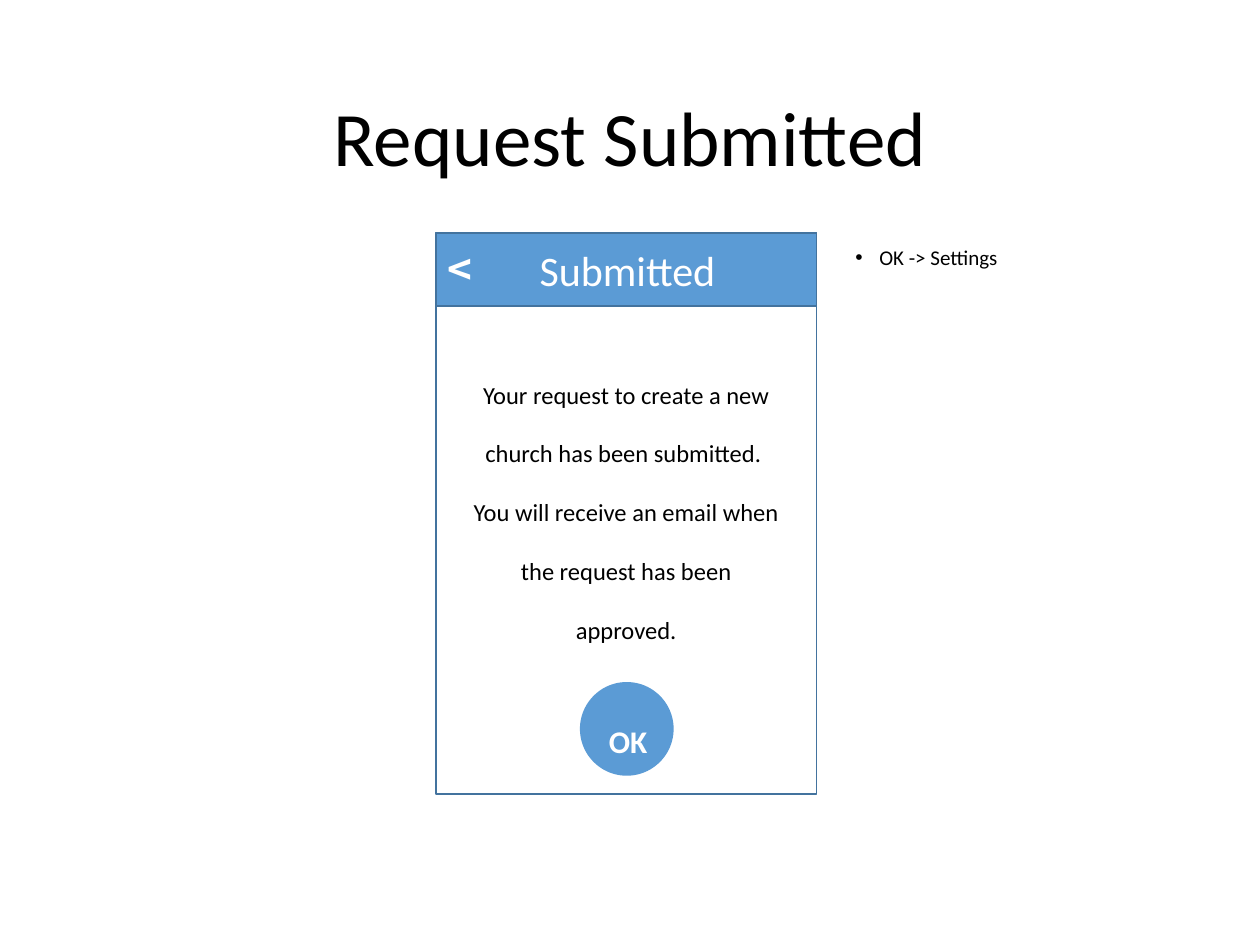
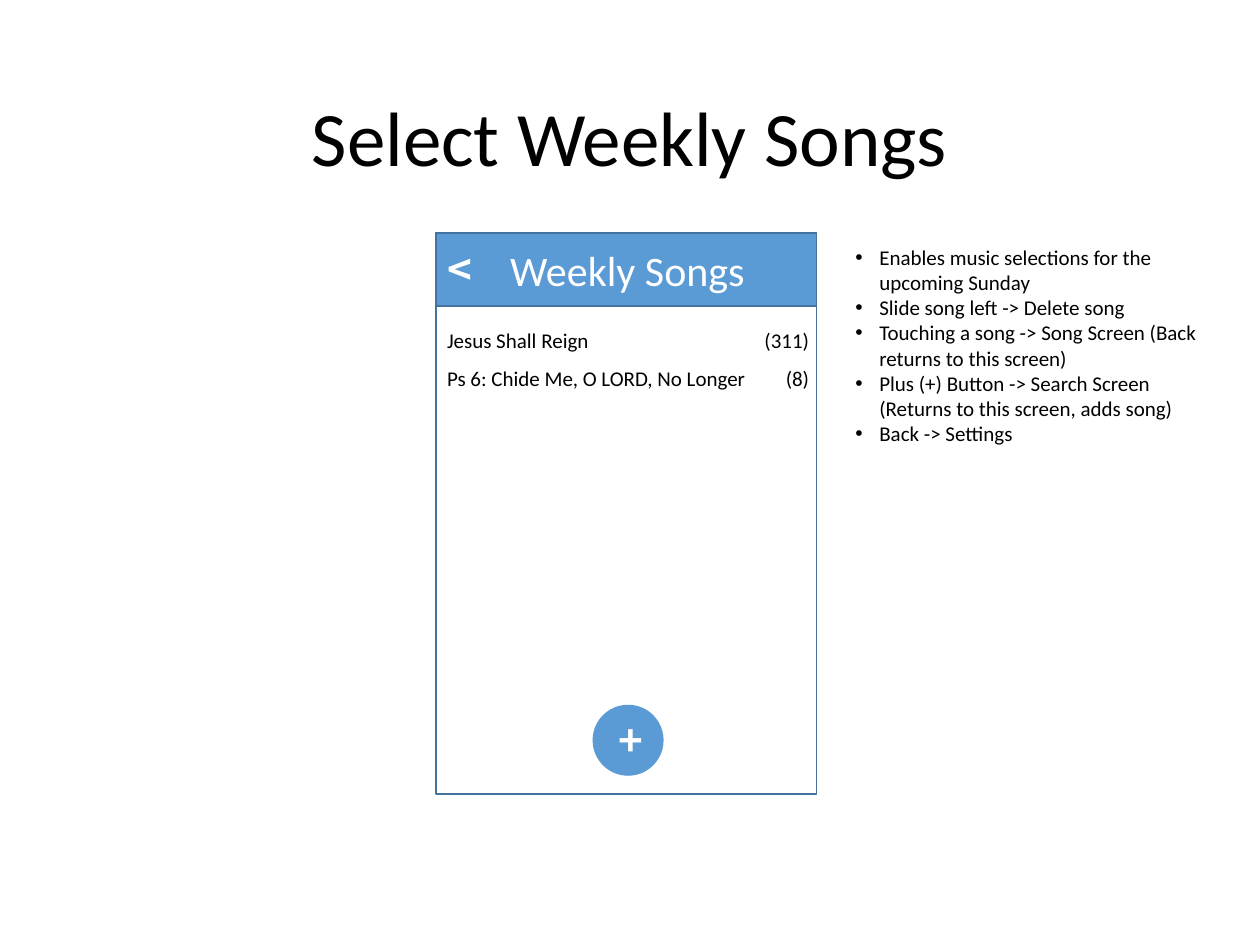
import pptx
import pptx.util
import pptx.dml.color
import pptx.enum.shapes
import pptx.enum.text
import pptx.oxml
import pptx.oxml.ns

PX = 9144  # EMU per px, 100 px to the inch
BLACK = pptx.dml.color.RGBColor(0x00, 0x00, 0x00)
WHITE = pptx.dml.color.RGBColor(0xFF, 0xFF, 0xFF)
BLUE = pptx.dml.color.RGBColor(0x5B, 0x9B, 0xD5)
EDGE = pptx.dml.color.RGBColor(0x43, 0x73, 0x9E)
FONT, SYMBOL_FONT = "Calibri", "Noto Sans CJK JP"
SHAPE = pptx.enum.shapes.MSO_SHAPE
LEFT = pptx.enum.text.PP_ALIGN.LEFT
CENTER = pptx.enum.text.PP_ALIGN.CENTER
RIGHT = pptx.enum.text.PP_ALIGN.RIGHT


def add_box(s, kind, box, fill, line):
    sp = s.shapes.add_shape(kind, *[v * PX for v in box])
    sp.shadow.inherit = False
    if fill is None:
        sp.fill.background()
    else:
        sp.fill.solid()
        sp.fill.fore_color.rgb = fill
    sp.line.color.rgb = line
    sp.line.width = pptx.util.Pt(1)


def add_text(s, box, lines, size, color=BLACK, align=LEFT, spacing=1.0,
             bold=False, font=FONT, bullets=False):
    tf = s.shapes.add_textbox(*[v * PX for v in box]).text_frame
    tf.word_wrap = True
    tf.auto_size = pptx.enum.text.MSO_AUTO_SIZE.SHAPE_TO_FIT_TEXT
    tf.text = "\n".join(lines)
    for p in tf.paragraphs:
        p.alignment = align
        p.line_spacing = spacing
        r = p.runs[0]
        r.font.name = font
        r.font.size = pptx.util.Pt(size)
        r.font.bold = bold
        r.font.color.rgb = color
        if bullets:
            pPr = p._p.get_or_add_pPr()
            pPr.set("marL", str(19 * PX))
            pPr.set("indent", str(-19 * PX))
            pPr.append(pptx.oxml.parse_xml(
                f'<a:buFont {pptx.oxml.ns.nsdecls("a")} typeface="Arial"/>'))
            pPr.append(pptx.oxml.parse_xml(
                f'<a:buChar {pptx.oxml.ns.nsdecls("a")} char="•"/>'))


prs = pptx.Presentation()
prs.slide_width, prs.slide_height = 1000 * PX, 750 * PX

# Slide title, app header, notes beside the phone
screens = [
    ("Request Submitted", "Submitted", ["OK -> Settings"]),
    ("Select Weekly Songs", "Weekly Songs", [
        "Enables music selections for the upcoming Sunday",
        "Slide song left -> Delete song",
        "Touching a song -> Song Screen (Back returns to this screen)",
        "Plus (+) Button -> Search Screen (Returns to this screen, adds song)",
        "Back -> Settings",
    ]),
]

# Shared parts: title, phone frame, header band, back button, notes
slides = []
for title, header, notes in screens:
    s = prs.slides.add_slide(prs.slide_layouts[5])
    slides.append(s)
    sp = s.shapes.title
    sp.left, sp.top, sp.width, sp.height = [v * PX for v in (69, 40, 862, 145)]
    tf = sp.text_frame
    tf.text = title
    tf.vertical_anchor = pptx.enum.text.MSO_ANCHOR.MIDDLE
    p = tf.paragraphs[0]
    p.alignment = CENTER
    p.line_spacing = 0.9
    r = p.runs[0]
    r.font.name = FONT
    r.font.size = pptx.util.Pt(44)
    r.font.color.rgb = BLACK

    add_box(s, SHAPE.RECTANGLE, (346, 185, 302, 445), None, EDGE)
    add_box(s, SHAPE.RECTANGLE, (346, 185, 302, 58), BLUE, EDGE)
    add_text(s, (669, 189, 298, 30), notes, 12, bullets=True)
    add_text(s, (353, 189, 290, 50), [header], 24, WHITE, CENTER)
    add_text(s, (345, 188, 31, 50), ["<"], 24, WHITE, bold=True, font=SYMBOL_FONT)

submitted, weekly = slides

# Request Submitted: message and OK button
message = ("Your request to create a new church has been submitted.  "
           "You will receive an email when the request has been approved.")
add_text(submitted, (363, 273, 268, 239), [message], 14, align=CENTER, spacing=2.0)
add_box(submitted, SHAPE.OVAL, (461, 542, 73, 73), BLUE, BLUE)
add_text(submitted, (458, 538, 81, 62), ["OK"], 18, WHITE, CENTER, 2.0, bold=True)

# Select Weekly Songs: song list and plus button
songs = [("Jesus Shall Reign", "(311)"),
         ("Ps 6: Chide Me, O LORD, No Longer", "(8)")]
names, numbers = zip(*songs)
add_text(weekly, (345, 245, 303, 71), names, 12, spacing=1.5)
add_text(weekly, (591, 245, 61, 71), numbers, 12, align=RIGHT, spacing=1.5)
add_box(weekly, SHAPE.OVAL, (471, 560, 55, 55), BLUE, BLUE)
add_text(weekly, (481, 562, 31, 50), ["+"], 24, WHITE, bold=True, font=SYMBOL_FONT)

prs.save("out.pptx")
